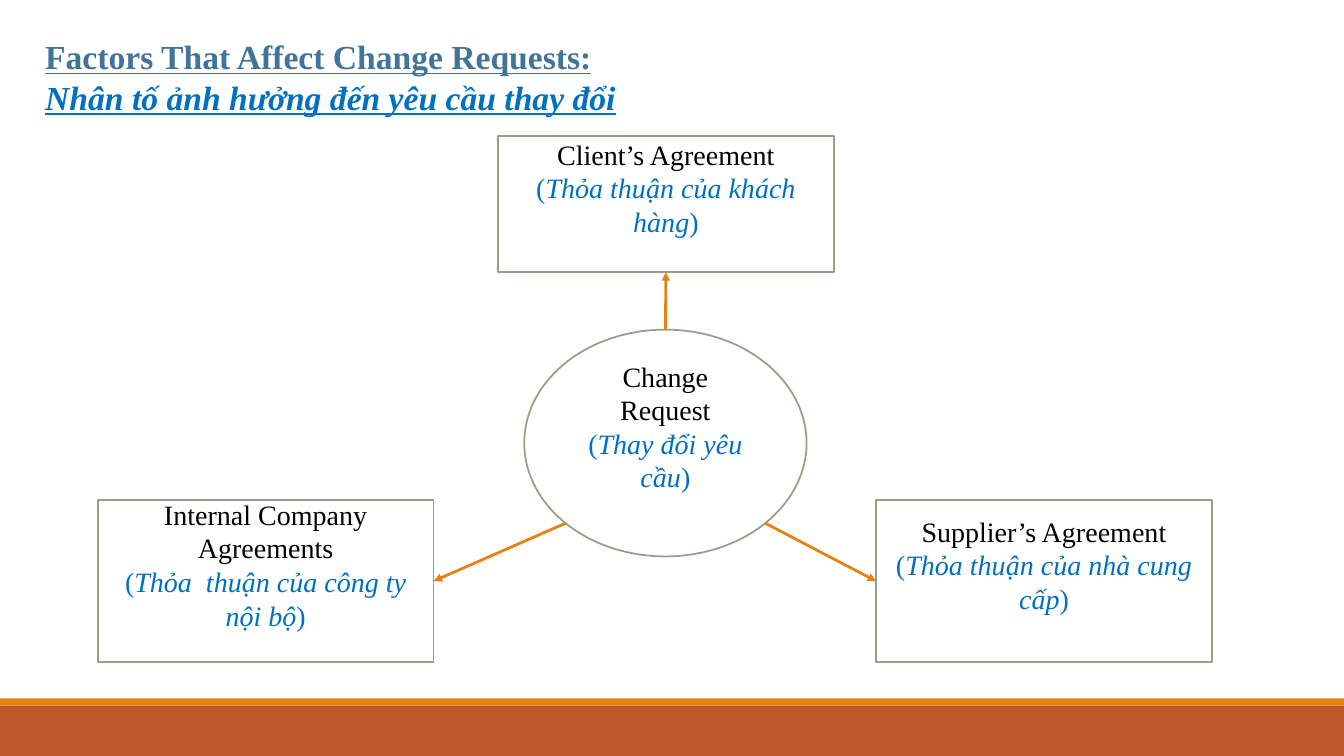
from dataclasses import dataclass
from math import sqrt

from lxml.etree import SubElement
from pptx import Presentation
from pptx.dml.color import RGBColor
from pptx.enum.shapes import MSO_CONNECTOR, MSO_SHAPE
from pptx.enum.text import MSO_ANCHOR, MSO_AUTO_SIZE, PP_ALIGN
from pptx.oxml.ns import qn
from pptx.util import Inches, Pt


@dataclass(frozen=True)
class Theme:
    font: str = "Times New Roman"
    title_size: int = 24
    body_size: int = 20
    title: str = "40749B"
    english: str = "000000"
    vietnamese: str = "0070C0"
    paper: str = "FFFFFF"
    outline: str = "94A088"
    accent: str = "E48312"
    footer: str = "BD582C"


theme = Theme()


def add_block(kind, left, top, width, height, fill, outline=None):
    block = slide.shapes.add_shape(
        kind, Inches(left), Inches(top), Inches(width), Inches(height))
    block.shadow.inherit = False
    block.fill.solid()
    block.fill.fore_color.rgb = RGBColor.from_string(fill)
    if outline:
        block.line.color.rgb = RGBColor.from_string(outline)
        block.line.width = Pt(1.25)
    else:
        block.line.fill.background()
    return block


def add_run(paragraph, text, size, color, italic=False, heading=False):
    run = paragraph.add_run()
    run.text = text
    run.font.name = theme.font
    run.font.size = Pt(size)
    run.font.color.rgb = RGBColor.from_string(color)
    run.font.italic = italic
    run.font.bold = heading
    run.font.underline = heading


prs = Presentation()
prs.slide_width, prs.slide_height = Inches(13.33), Inches(7.5)
slide = prs.slides.add_slide(prs.slide_layouts[6])

# Footer bands
add_block(MSO_SHAPE.RECTANGLE, 0, 7, 13.33, 0.5, theme.footer)
add_block(MSO_SHAPE.RECTANGLE, 0, 6.93, 13.33, 0.07, theme.accent)

# Three factors around the change request
box_width = 3.33
hub_left, hub_top, hub_width, hub_height = 5.2, 3.27, 2.8, 2.25
nodes = [
    (MSO_SHAPE.RECTANGLE, 4.94, 1.35, box_width, 1.35,
     "Client’s Agreement", "Thỏa thuận của khách hàng"),
    (MSO_SHAPE.RECTANGLE, 0.97, 4.96, box_width, 1.61,
     "Internal Company Agreements", "Thỏa  thuận của công ty nội bộ"),
    (MSO_SHAPE.RECTANGLE, 8.69, 4.96, box_width, 1.61,
     "Supplier’s Agreement", "Thỏa thuận của nhà cung cấp"),
    (MSO_SHAPE.OVAL, hub_left, hub_top, hub_width, hub_height,
     "Change Request", "Thay đổi yêu cầu"),
]
blocks = []
for kind, left, top, width, height, english, vietnamese in nodes:
    block = add_block(kind, left, top, width, height, theme.paper, theme.outline)
    frame = block.text_frame
    frame.word_wrap = True
    frame.vertical_anchor = MSO_ANCHOR.MIDDLE
    frame.margin_bottom = Inches(0.38)  # lifts the text by half a line
    name, translation = frame.paragraphs[0], frame.add_paragraph()
    name.alignment = translation.alignment = PP_ALIGN.CENTER
    add_run(name, english, theme.body_size, theme.english)
    for text, italic in (("(", False), (vietnamese, True), (")", False)):
        add_run(translation, text, theme.body_size, theme.vietnamese, italic)
    blocks.append(block)
client, internal, supplier, change_request = blocks

# Arrows leave the ellipse at its top and at its lower diagonals
center_x = hub_left + hub_width / 2
diagonal_x = hub_width / 2 / sqrt(2)
diagonal_y = hub_top + hub_height / 2 * (1 + 1 / sqrt(2))
for factor, side, start_x, start_y in (
    (client, 2, center_x, hub_top),
    (internal, 3, center_x - diagonal_x, diagonal_y),
    (supplier, 1, center_x + diagonal_x, diagonal_y),
):
    start = Inches(start_x), Inches(start_y)
    arrow = slide.shapes.add_connector(MSO_CONNECTOR.STRAIGHT, *start, *start)
    if factor is client:
        arrow.begin_connect(change_request, 0)
    arrow.end_connect(factor, side)
    arrow.line.color.rgb = RGBColor.from_string(theme.accent)
    arrow.line.width = Pt(2)
    SubElement(arrow.line._get_or_add_ln(), qn("a:tailEnd"), type="triangle")
    SubElement(arrow._element.spPr, qn("a:effectLst"))

# Title
title = slide.shapes.add_textbox(
    Inches(0.35), Inches(0.31), Inches(7.03), Inches(1.31)).text_frame
title.word_wrap = True
title.auto_size = MSO_AUTO_SIZE.SHAPE_TO_FIT_TEXT
add_run(title.paragraphs[0], "Factors That Affect Change Requests:",
        theme.title_size, theme.title, heading=True)
add_run(title.add_paragraph(), "Nhân tố ảnh hưởng đến yêu cầu thay đổi",
        theme.title_size, theme.vietnamese, italic=True, heading=True)

prs.save("out.pptx")
